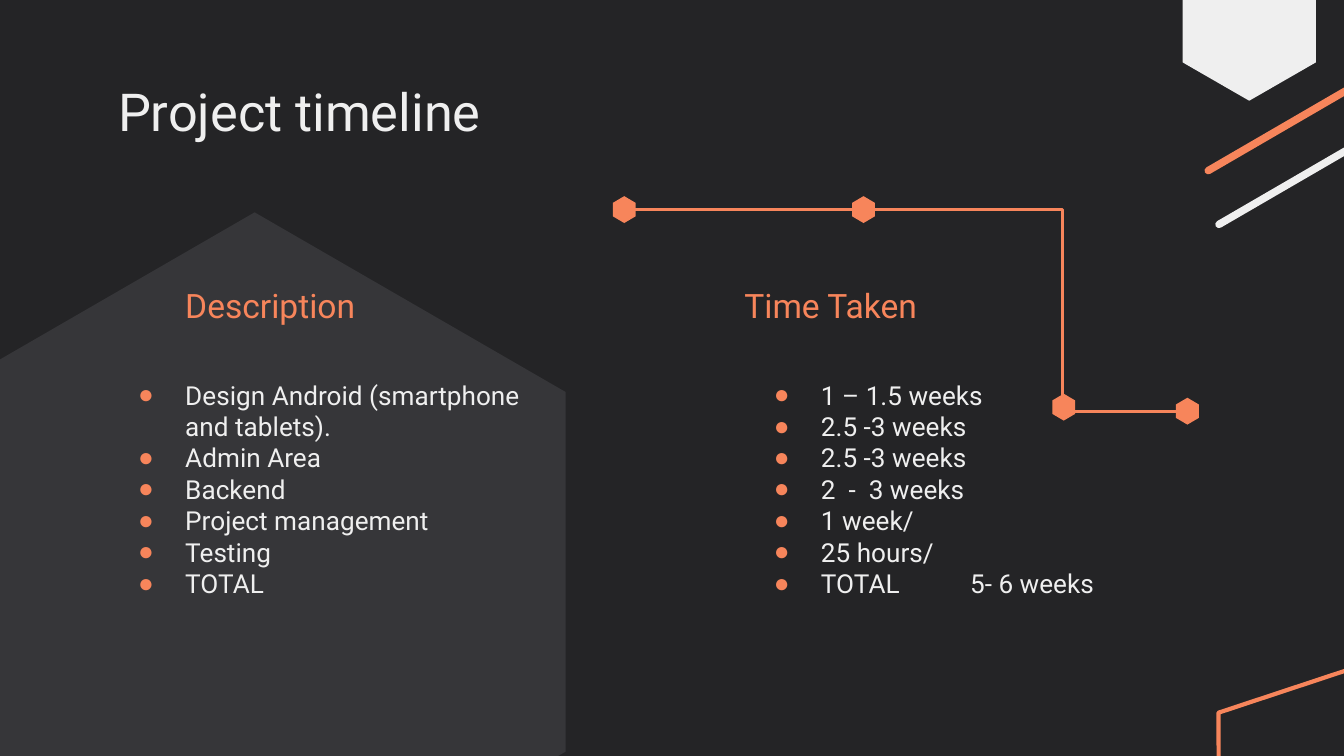
import pptx
import pptx.util
import pptx.dml.color
import pptx.enum.shapes
import pptx.enum.text
import pptx.oxml.ns
import lxml.etree

Inches, Pt = pptx.util.Inches, pptx.util.Pt
RGBColor = pptx.dml.color.RGBColor
MSO_SHAPE = pptx.enum.shapes.MSO_SHAPE
LINK = pptx.enum.shapes.MSO_CONNECTOR
ANCHOR = pptx.enum.text.MSO_ANCHOR
qn = pptx.oxml.ns.qn

DARK = RGBColor(0x24, 0x24, 0x26)
GREY = RGBColor(0x36, 0x36, 0x39)
LIGHT = RGBColor(0xEF, 0xEF, 0xEF)
ORANGE = RGBColor(0xF7, 0x85, 0x5B)
FONT = "Roboto"

# Content
TITLE = "Project timeline"
COLUMNS = [  # heading, heading left, list left, list height, items
    ("Description", 1.28, 0.78, 3.25, [
        "Design Android (smartphone and tablets).", "Admin Area", "Backend",
        "Project management", "Testing", "TOTAL"]),
    ("Time Taken", 5.44, 5.51, 2.39, [
        "1 – 1.5 weeks", "2.5 -3 weeks", "2.5 -3 weeks", "2  -  3 weeks",
        "1 week/", "25 hours/", "TOTAL\t5- 6 weeks"]),
]
STRIPES = [((9.07, 1.67), LIGHT), ((8.99, 1.27), ORANGE)]
NODES = [(4.56, 1.46), (6.34, 1.46), (7.83, 2.93), (8.75, 2.96)]

# Slide in 16:9
deck = pptx.Presentation()
deck.slide_width, deck.slide_height = Inches(10), Inches(10 * 9 / 16)
slide = deck.slides.add_slide(deck.slide_layouts[6])
slide.background.fill.solid()
slide.background.fill.fore_color.rgb = DARK
shapes = slide.shapes


def add(parent, tag, **attrs):
    node = lxml.etree.SubElement(parent, qn(tag))
    for key, value in attrs.items():
        node.set(key, str(value))
    return node


def hexagon(left, top, width, height, color):
    ratios = [(0.5, 0), (0, 0.25), (0, 0.75), (0.5, 1), (1, 0.75), (1, 0.25)]
    points = [(Inches(left + x * width), Inches(top + y * height))
              for x, y in ratios]
    form = shapes.build_freeform(*points[0])
    form.add_line_segments(points[1:], close=True)
    shape = form.convert_to_shape()
    shape.shadow.inherit = False
    shape.fill.solid()
    shape.fill.fore_color.rgb = color
    shape.line.fill.background()


def link(kind, start, end, color, width):
    line = shapes.add_connector(kind, *map(Inches, start + end))
    line.line.color.rgb = color
    line.line.width = Pt(width)
    add(line._element.spPr, "a:effectLst")
    return line


def style(font, size, color):
    font.name, font.size = FONT, Pt(size)
    font.color.rgb = color


def text_box(left, top, width, height, lines, size, color,
             anchor=ANCHOR.TOP, bullets=False):
    box = shapes.add_textbox(*map(Inches, (left, top, width, height)))
    frame = box.text_frame
    frame.word_wrap = True
    frame.vertical_anchor = anchor
    frame.margin_left = frame.margin_right = Inches(0.1)
    frame.margin_top = frame.margin_bottom = Inches(0.1)
    frame.text = "\n".join(lines)
    for para in frame.paragraphs:
        if bullets:
            bullet(para)
        for run in para.runs:
            style(run.font, size, color)


def bullet(para):
    props = para._p.get_or_add_pPr()
    props.set("marL", str(Inches(0.5)))
    props.set("indent", str(Inches(-0.35)))
    add(add(props, "a:buClr"), "a:srgbClr", val=ORANGE)
    add(props, "a:buFont", typeface="Arial")
    add(props, "a:buChar", char="●")
    if "\t" in para.text:
        add(add(props, "a:tabLst"), "a:tab", pos=Inches(1.61), algn="l")


# Background hexagons
hexagon(-0.42, 1.58, 4.63, 5.35, GREY)
hexagon(8.8, -0.39, 0.99, 1.14, LIGHT)

# Corner outline
corner = shapes.add_shape(MSO_SHAPE.REGULAR_PENTAGON,
                          *map(Inches, (8.88, 4.98, 1.63, 1.55)))
corner.rotation = 305.7
corner.shadow.inherit = False
corner.fill.background()
corner.line.color.rgb = ORANGE
corner.line.width = Pt(2.25)

# Slanted stripes with round ends
for (x, y), color in STRIPES:
    stripe = link(LINK.STRAIGHT, (x, y), (x + 1.86, y - 1.08), color, 4)
    stripe.line._get_or_add_ln().set("cap", "rnd")

# Title and columns
text_box(0.78, 0.53, 8.45, 0.63, [TITLE], 28, LIGHT, ANCHOR.BOTTOM)
for head, head_x, list_x, height, items in COLUMNS:
    text_box(list_x, 2.72, 3.55, height, items, 14, LIGHT, bullets=True)
    text_box(head_x, 2.02, 3.55, 0.46, [head], 18, ORANGE)

# Timeline path and its nodes
track = link(LINK.ELBOW, (4.56, 1.56), (8.86, 3.06), ORANGE, 1.5)
geom = track._element.spPr.find(qn("a:prstGeom"))
guides = geom.find(qn("a:avLst"))
if guides is None:
    guides = add(geom, "a:avLst")
add(guides, "a:gd", name="adj1", fmla="val 77800")
for x, y in NODES:
    hexagon(x, y, 0.17, 0.2, ORANGE)

deck.save("out.pptx")
